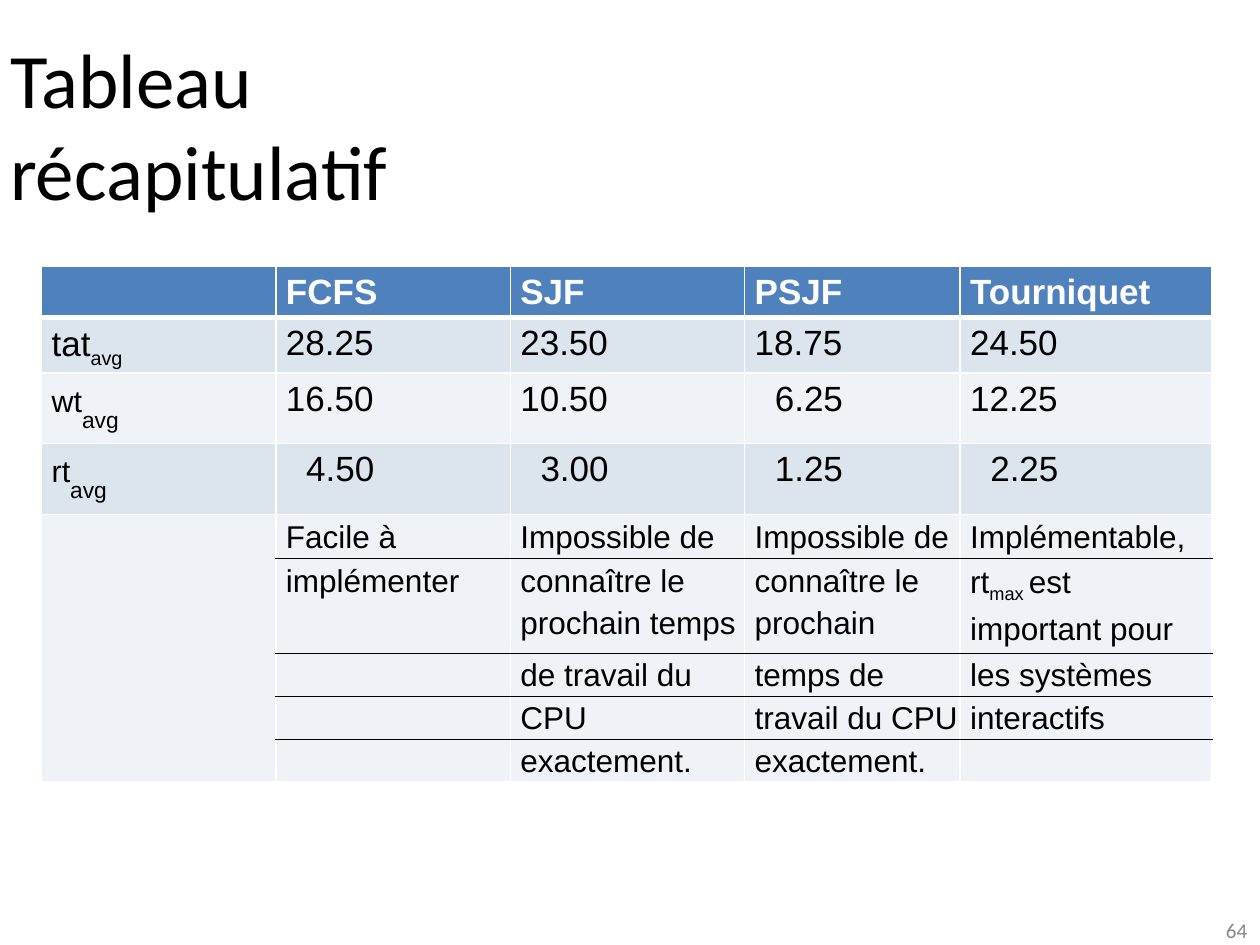
"""Build the summary slide comparing four CPU scheduling algorithms."""
from lxml.etree import SubElement
from pptx import Presentation
from pptx.dml.color import RGBColor
from pptx.enum.text import MSO_ANCHOR, MSO_AUTO_SIZE, PP_ALIGN
from pptx.oxml.ns import qn
from pptx.util import Inches, Pt

BLACK = RGBColor(0x00, 0x00, 0x00)
WHITE = RGBColor(0xFF, 0xFF, 0xFF)
GRAY = RGBColor(0x88, 0x88, 0x88)
HEADER_BLUE = RGBColor(0x4F, 0x81, 0xBD)
BAND_DARK = RGBColor(0xDC, 0xE5, 0xEE)
BAND_LIGHT = RGBColor(0xEF, 0xF3, 0xF7)

TITLE = "Tableau récapitulatif"
PAGE_NUMBER = "64"

# A cell is a string, or a list of (text, size, baseline percent) runs.
TAT = [("tat", 20, 0), ("avg", 19.5, -25)]
WT = [("wt", 30, 30), ("avg", 13, 0)]
RT = [("rt", 30, 30), ("avg", 13, 0)]
RT_MAX = [("rt", 18, 0), ("max ", 18, -25), ("est", 18, 0)]

ROWS = [
    ["", "FCFS", "SJF", "PSJF", "Tourniquet"],
    [TAT, "28.25", "23.50", "18.75", "24.50"],
    [WT, "16.50", "10.50", "6.25", "12.25"],
    [RT, "4.50", "3.00", "1.25", "2.25"],
    ["", "Facile à", "Impossible de", "Impossible de", "Implémentable,"],
    ["", "implémenter", ("connaître le", "prochain temps"),
     ("connaître le", "prochain"), (RT_MAX, "important pour")],
    ["", "", "de travail du", "temps de", "les systèmes"],
    ["", "", "CPU", "travail du CPU", "interactifs"],
    ["", "", "exactement.", "exactement.", ""],
]
COLUMN_WIDTHS = [1.86, 1.86, 1.86, 1.71, 2]
ROW_HEIGHTS = [0.41, 0.41, 0.41, 0.41, 0.31, 0.6, 0.3, 0.3, 0.29]
LINE_SPACINGS = [1.17, 1.17, 1.17, 1.17, 1.17, 1.15, 1.14, 1.14, 1.12]
FIRST_NOTE_ROW = 4
LAST_ROW = len(ROWS) - 1


def style(paragraph, name, size, color, indent=0, spacing=None, bold=False):
    paragraph.alignment = PP_ALIGN.LEFT
    paragraph._p.get_or_add_pPr().set("marL", str(Inches(indent)))
    paragraph.line_spacing = spacing
    font = paragraph.font
    font.name, font.size, font.bold = name, Pt(size), bold
    font.color.rgb = color


def clear_margins(frame):
    frame.margin_left = frame.margin_top = 0
    frame.margin_right = frame.margin_bottom = 0


def add_border(cell, side, color, width):
    line = SubElement(cell._tc.get_or_add_tcPr(), qn(f"a:ln{side}"), w=str(Pt(width)))
    fill = SubElement(line, qn("a:solidFill"))
    SubElement(fill, qn("a:srgbClr"), val=str(color))


def rule_below(row, column):
    if row == 0:
        return WHITE, 3
    if column > 0 and FIRST_NOTE_ROW <= row < LAST_ROW:
        return BLACK, 1
    return WHITE, 1


def write_paragraph(paragraph, content, row, spacing):
    size = 20 if row < FIRST_NOTE_ROW else 18
    indent = 0.24 if content[1:2] == "." else 0.08
    color = WHITE if row == 0 else BLACK
    style(paragraph, "Arial", size, color, indent, spacing, bold=row == 0)
    if isinstance(content, str):
        paragraph.add_run().text = content
        return
    for text, run_size, baseline in content:
        run = paragraph.add_run()
        run.text = text
        run.font.size = Pt(run_size)
        if baseline:
            run._r.get_or_add_rPr().set("baseline", str(baseline * 1000))


def fill_cell(cell, content, row, column):
    clear_margins(cell)
    add_border(cell, "L", WHITE, 1)
    add_border(cell, "R", WHITE, 1)
    add_border(cell, "T", *(rule_below(row - 1, column) if row else (WHITE, 1)))
    add_border(cell, "B", *rule_below(row, column))
    cell.fill.solid()
    banded = row < FIRST_NOTE_ROW and row % 2
    cell.fill.fore_color.rgb = HEADER_BLUE if row == 0 else BAND_DARK if banded else BAND_LIGHT
    if not content:
        return
    raised = content in (WT, RT)
    if raised:
        cell.margin_top = Inches(0.06)
    lines = content if isinstance(content, tuple) else (content,)
    for index, line in enumerate(lines):
        frame = cell.text_frame
        paragraph = frame.add_paragraph() if index else frame.paragraphs[0]
        spacing = 1 if raised else 1.2 if index else LINE_SPACINGS[row]
        write_paragraph(paragraph, line, row, spacing)


def add_title(slide):
    title = slide.shapes.title
    title.left, title.top = Inches(0.07), Inches(0.24)
    title.width, title.height = Inches(4.62), Inches(0.69)
    frame = title.text_frame
    clear_margins(frame)
    frame.margin_top = Inches(0.01)
    frame.word_wrap = True
    frame.vertical_anchor = MSO_ANCHOR.TOP
    frame.auto_size = MSO_AUTO_SIZE.SHAPE_TO_FIT_TEXT
    frame.text = TITLE
    style(frame.paragraphs[0], "Calibri", 44, BLACK, 0.01)


def add_summary_table(slide):
    table = slide.shapes.add_table(
        len(ROWS), len(COLUMN_WIDTHS), Inches(0.33), Inches(2.11),
        Inches(sum(COLUMN_WIDTHS)), Inches(sum(ROW_HEIGHTS))).table
    table.first_row = table.horz_banding = False
    for column, width in zip(table.columns, COLUMN_WIDTHS):
        column.width = Inches(width)
    for row, height in zip(table.rows, ROW_HEIGHTS):
        row.height = Inches(height)
    for row, contents in enumerate(ROWS):
        for column, content in enumerate(contents):
            fill_cell(table.cell(row, column), content, row, column)
    table.cell(FIRST_NOTE_ROW, 0).merge(table.cell(LAST_ROW, 0))


def add_page_number(slide):
    box = slide.shapes.add_textbox(Inches(9.7), Inches(7.28), Inches(0.23), Inches(0.19))
    frame = box.text_frame
    clear_margins(frame)
    frame.word_wrap = True
    frame.auto_size = MSO_AUTO_SIZE.SHAPE_TO_FIT_TEXT
    frame.text = PAGE_NUMBER
    style(frame.paragraphs[0], "Calibri", 12, GRAY, 0.03, 1.03)


def main():
    presentation = Presentation()
    presentation.slide_width, presentation.slide_height = Inches(10), Inches(7.5)
    slide = presentation.slides.add_slide(presentation.slide_layouts[5])
    add_title(slide)
    add_summary_table(slide)
    add_page_number(slide)
    presentation.save("out.pptx")


if __name__ == "__main__":
    main()
